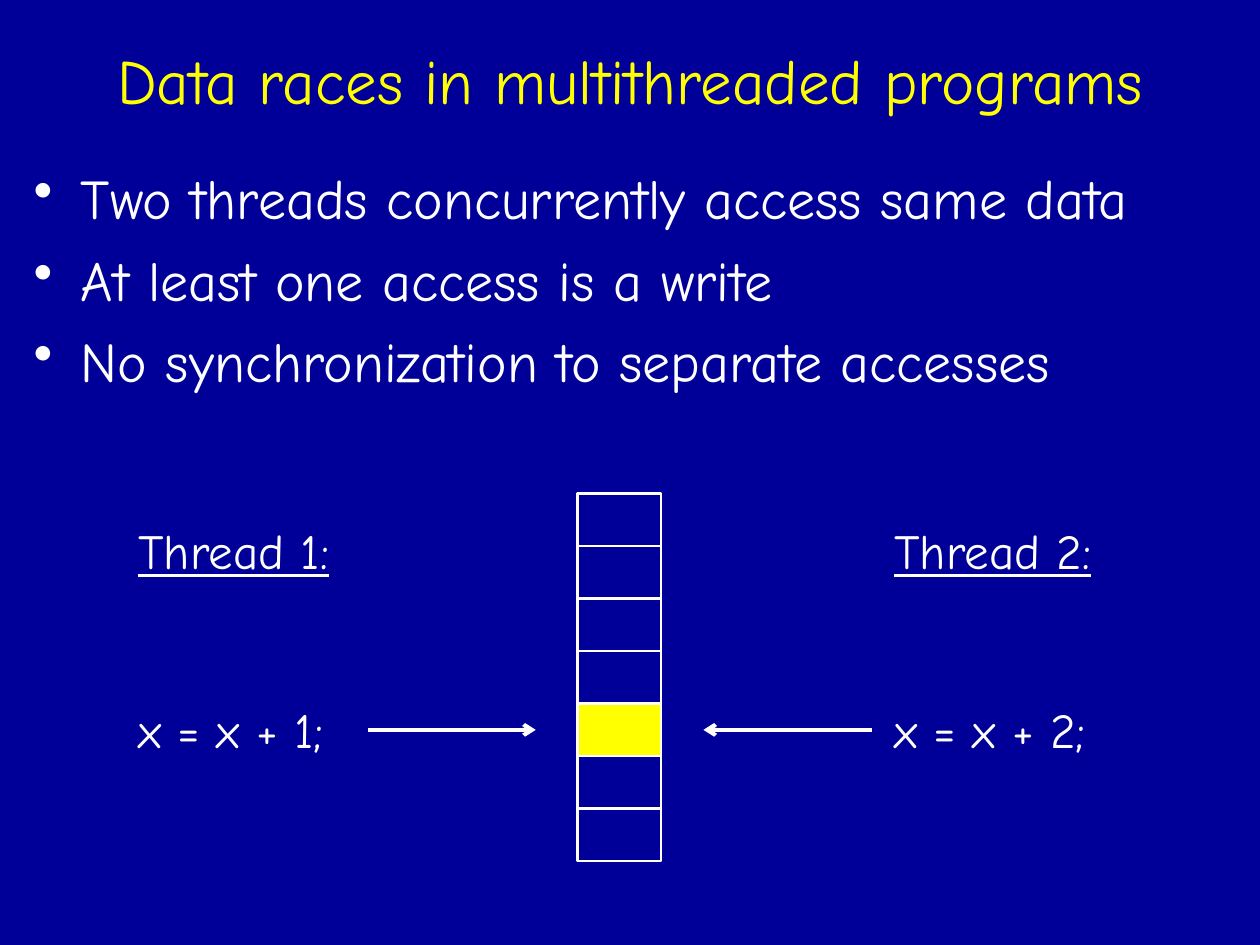
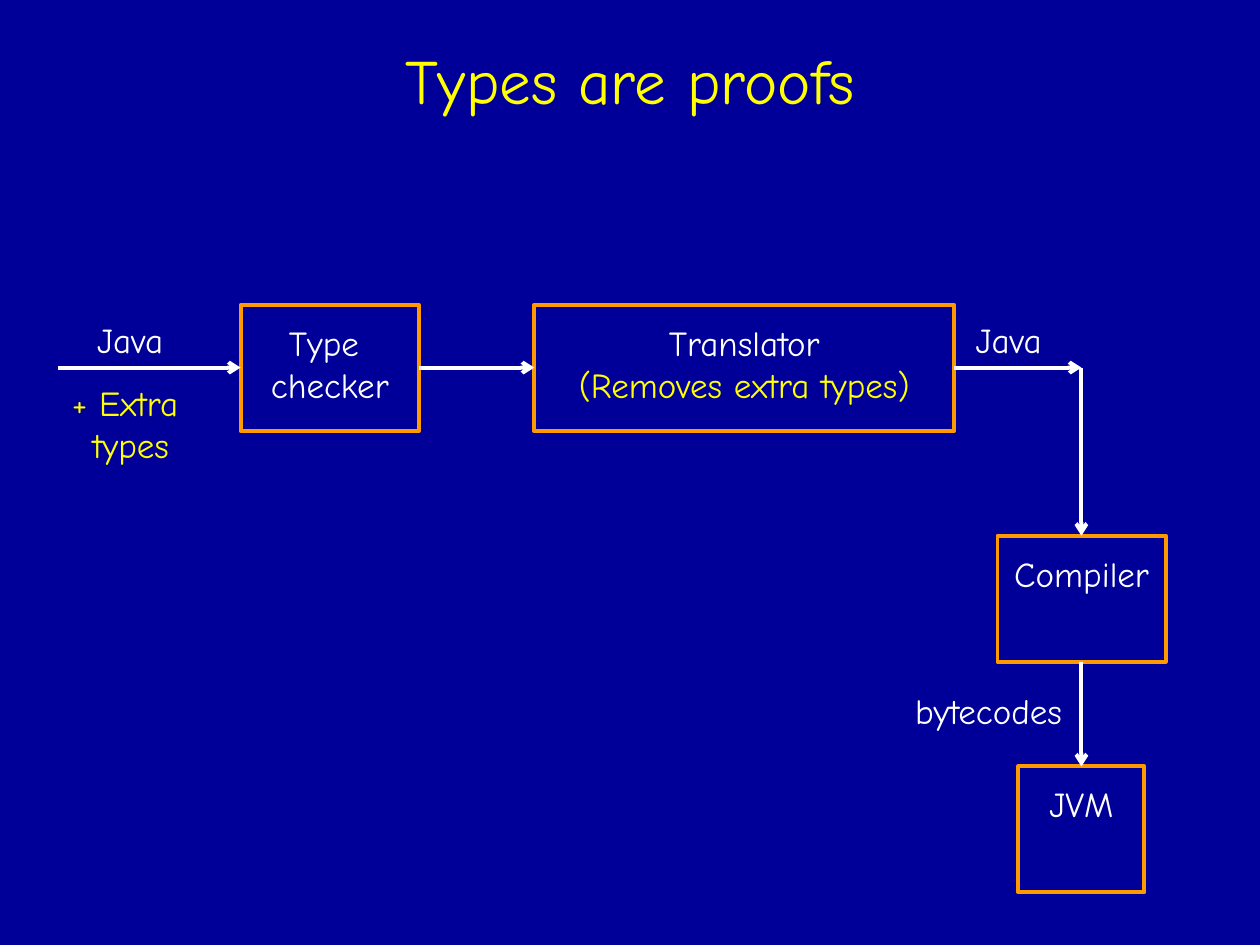
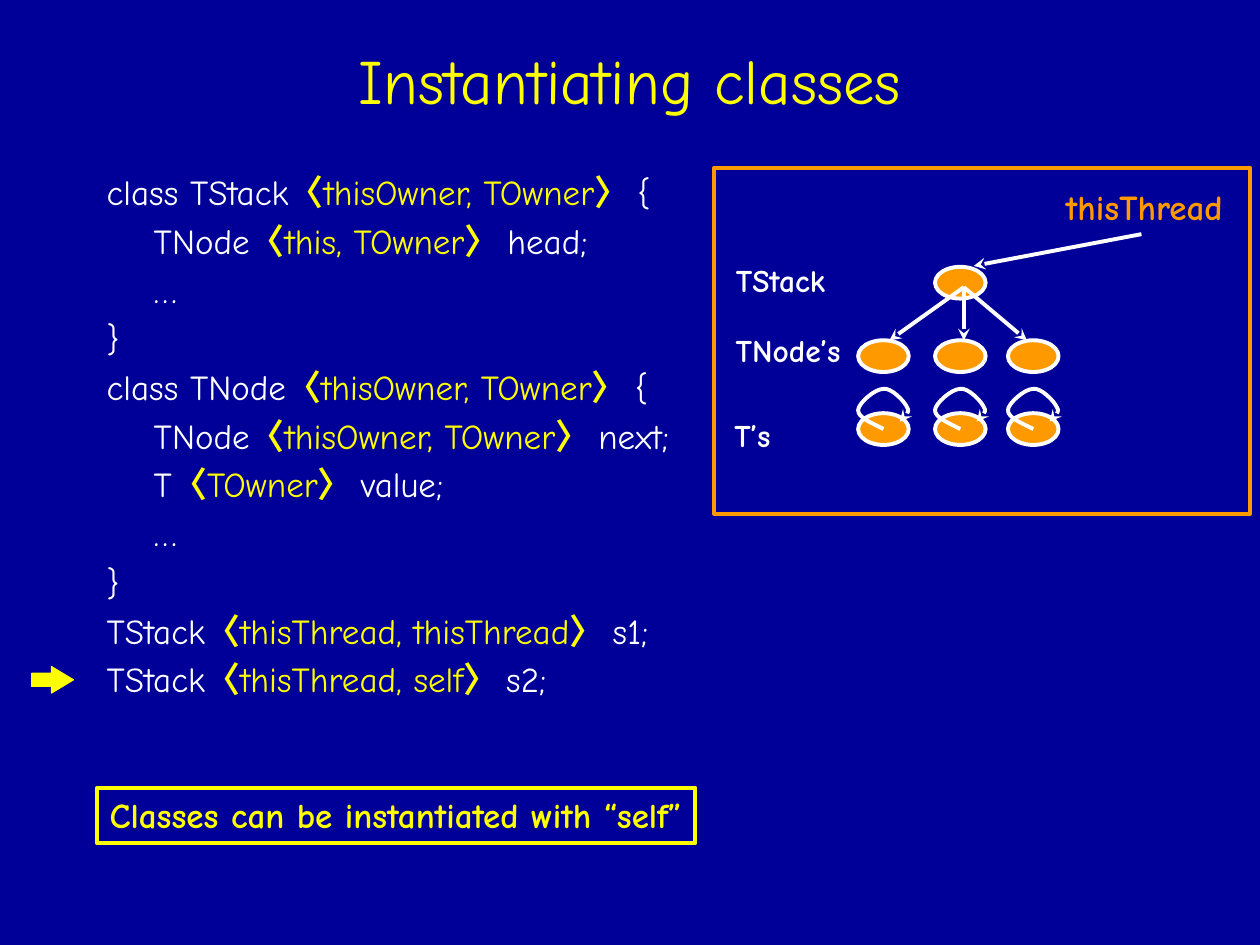
from lxml.etree import SubElement
from pptx import Presentation
from pptx.dml.color import RGBColor
from pptx.enum.shapes import MSO_CONNECTOR, MSO_SHAPE
from pptx.enum.text import MSO_ANCHOR, PP_ALIGN
from pptx.oxml.ns import qn
from pptx.util import Cm, Pt

# Shared look
NAVY, WHITE, YELLOW, ORANGE = "000099", "FFFFFF", "FFFF00", "FF9900"
FONT, BRACKET_FONT = "Comic Neue", "Arial"
SLIDE_W, SLIDE_H = 25.4, 19.05
THICK, THIN = 2.25, 1.5

# Slide 1: left, top, width, height in cm
RACE_RULES = [
    "Two threads concurrently access same data",
    "At least one access is a write",
    "No synchronization to separate accesses",
]
THREADS = [  # left, width, heading, statement, arrow start, arrow end
    (2.54, 5.08, "Thread 1:", "x = x + 1;", 7.41, 10.8),
    (17.78, 5.5, "Thread 2:", "x = x + 2;", 17.57, 14.18),
]
MEMORY = (11.64, 9.95, 1.69, 7.41)
CELL_COUNT, SHARED_CELL = 7, 4

# Slide 2
STAGE_H, FLOW_Y, FLOW_X = 2.54, 7.41, 21.8
STAGES = [  # left, top, width, lines of text with their colours
    (4.85, 6.15, 3.6, [("Type ", WHITE), ("checker", WHITE)]),
    (10.77, 6.15, 8.47, [("Translator", WHITE), ("(Removes extra types)", YELLOW)]),
    (20.11, 10.8, 3.39, [("Compiler", WHITE)]),
    (20.53, 15.45, 2.54, [("JVM", WHITE)]),
]
FLOW_ACROSS = [(1.17, 4.85), (8.45, 10.77), (19.24, FLOW_X)]
FLOW_DOWN = [(FLOW_Y, 10.8), (13.34, 15.45)]
FLOW_LABELS = [
    ((1.7, 6.3, 1.85, 1.96), ["Java"], WHITE),
    ((1.19, 7.57, 2.9, 2.79), ["+ Extra ", "types"], YELLOW),
    ((19.41, 6.3, 1.85, 1.96), ["Java"], WHITE),
    ((18.19, 13.77, 3.48, 1.96), ["bytecodes"], WHITE),
]

# Slide 3
CODE = [  # indent level, code, owner parameters, rest of the line
    (0, "class TStack", "thisOwner, TOwner", " {"),
    (1, "TNode", "this, TOwner", " head;"),
    (1, "…", "", ""),
    (0, "}", "", ""),
    (0, "class TNode", "thisOwner, TOwner", " {"),
    (1, "TNode", "thisOwner, TOwner", " next;"),
    (1, "T", "TOwner", " value;"),
    (1, "…", "", ""),
    (0, "}", "", ""),
    (0, "TStack", "thisThread, thisThread", " s1;"),
    (0, "TStack", "thisThread, self", " s2;"),
]
OBJECT_W, OBJECT_H = 1.02, 0.64
OBJECT_COLS = (17.3, 18.85, 20.32)
STACK_Y, NODE_Y, T_Y = 5.38, 6.86, 8.33
STACK_HUB, NODE_TIPS = (19.43, 5.79), (17.93, 19.43, 20.7)
OBJECT_LABELS = [
    ((21.23, 3.61, 3.68, 1.12), "thisThread", 20, ORANGE),
    ((14.58, 5.13, 2.31, 1.02), "TStack", 18, WHITE),
    ((14.58, 6.55, 2.62, 1.02), "TNode’s", 18, WHITE),
    ((14.55, 8.26, 1.24, 1.02), "T’s", 18, WHITE),
]
# Bezier points of the self-owner loop, relative to the middle of its object
SELF_LOOP = [
    (0, 0), (-0.25, -0.13), (-0.51, -0.23), (-0.51, -0.38), (-0.51, -0.51),
    (-0.18, -0.81), (0, -0.81), (0.15, -0.84), (0.43, -0.56), (0.48, -0.43),
    (0.56, -0.33), (0.36, -0.2), (0.33, -0.15),
]


def rgb(value):
    return RGBColor.from_string(value)


def cm(values):
    return [Cm(v) for v in values]


def add_run(p, text, size, color=WHITE, font=FONT, **formats):
    r = p.add_run()
    r.text = text
    r.font.color.rgb = rgb(color)
    for name, value in {"size": Pt(size), "name": font, **formats}.items():
        setattr(r.font, name, value)


def add_paragraph(tf, first, **formats):
    p = tf.paragraphs[0] if first else tf.add_paragraph()
    for name, value in formats.items():
        setattr(p, name, value)
    return p


def add_lines(tf, lines, size, align=PP_ALIGN.CENTER, **formats):
    """Write one paragraph for each (text, colour) pair."""
    for i, (text, color) in enumerate(lines):
        add_run(add_paragraph(tf, i == 0, alignment=align), text, size, color, **formats)


def add_text_frame(s, box, wrap=False):
    tf = s.shapes.add_textbox(*cm(box)).text_frame
    tf.word_wrap = wrap
    return tf


def add_box(s, kind, box, line, width=THICK, fill=None):
    sp = s.shapes.add_shape(kind, *cm(box))
    sp.shadow.inherit = False
    style_fill(sp, fill)
    style_line(sp, line, width)
    tf = sp.text_frame
    tf.word_wrap = False
    tf.vertical_anchor = MSO_ANCHOR.TOP
    return sp


def style_fill(sp, fill):
    if fill:
        sp.fill.solid()
        sp.fill.fore_color.rgb = rgb(fill)
    else:
        sp.fill.background()


def style_line(sp, color, width, arrow=None):
    sp.line.color.rgb = rgb(color)
    sp.line.width = Pt(width)
    if arrow:
        SubElement(sp.element.spPr.find(qn("a:ln")), qn("a:tailEnd"), type=arrow)


def add_line(s, start, end, width=THICK, arrow=None):
    c = s.shapes.add_connector(MSO_CONNECTOR.STRAIGHT, *cm(start + end))
    style_line(c, WHITE, width, arrow)
    SubElement(c.element.spPr, qn("a:effectLst"))


def bezier(points, steps=8):
    """Sample a chain of cubic curves that share their end points."""
    sampled = [points[0]]
    for i in range(0, len(points) - 1, 3):
        for t in (k / steps for k in range(1, steps + 1)):
            weights = ((1 - t) ** 3, 3 * t * (1 - t) ** 2, 3 * t * t * (1 - t), t ** 3)
            sampled.append(tuple(
                sum(w * pt[axis] for w, pt in zip(weights, points[i:i + 4]))
                for axis in (0, 1)))
    return sampled


def add_self_loop(s, x, y):
    start, *rest = [(Cm(x + dx), Cm(y + dy)) for dx, dy in bezier(SELF_LOOP)]
    builder = s.shapes.build_freeform(*start)
    builder.add_line_segments(rest, close=False)
    sp = builder.convert_to_shape()
    sp.shadow.inherit = False
    style_fill(sp, None)
    style_line(sp, WHITE, THICK, "stealth")


def add_slide(prs, title, title_w):
    s = prs.slides.add_slide(prs.slide_layouts[6])
    tf = add_text_frame(s, ((SLIDE_W - title_w) / 2, 0.43, title_w, 2.34), wrap=True)
    tf.vertical_anchor = MSO_ANCHOR.MIDDLE
    add_lines(tf, [(title, YELLOW)], 36)
    return s


def add_bullets(s, box, items):
    tf = add_text_frame(s, box, wrap=True)
    for i, item in enumerate(items):
        p = add_paragraph(tf, i == 0, space_before=Pt(8))
        add_run(p, item, 32)
        pPr = p._p.get_or_add_pPr()
        pPr.set("marL", str(Cm(0.95)))
        pPr.set("indent", str(-Cm(0.95)))
        SubElement(pPr, qn("a:buChar"), char="•")


def build_data_races(prs):
    s = add_slide(prs, "Data races in multithreaded programs", 23.7)
    add_bullets(s, (0.43, 3.18, 24.97, 15.44), RACE_RULES)

    left, top, width, height = MEMORY
    cell_h = height / CELL_COUNT
    cell_y = top + SHARED_CELL * cell_h
    add_box(s, MSO_SHAPE.RECTANGLE, MEMORY, WHITE, THIN)
    for i in range(1, CELL_COUNT + 1):
        if i not in (SHARED_CELL, SHARED_CELL + 1):
            y = top + i * cell_h
            add_line(s, (left, y), (left + width, y), THIN)
    add_box(s, MSO_SHAPE.RECTANGLE, (left, cell_y, width, cell_h), WHITE, THIN, YELLOW)

    for x, w, heading, statement, start, end in THREADS:
        tf = add_text_frame(s, (x, 10.36, w, 6.86), wrap=True)
        add_run(add_paragraph(tf, True), heading, 28, underline=True)
        add_run(add_paragraph(tf, False, space_before=Pt(69)), statement, 28)
        y = cell_y + cell_h / 2
        add_line(s, (start, y), (end, y), arrow="arrow")


def build_types_are_proofs(prs):
    s = add_slide(prs, "Types are proofs", 21.59)
    for x, y, w, lines in STAGES:
        tf = add_box(s, MSO_SHAPE.RECTANGLE, (x, y, w, STAGE_H), ORANGE).text_frame
        tf.margin_top = Cm(0.33)
        add_lines(tf, lines, 20)
    for x1, x2 in FLOW_ACROSS:
        add_line(s, (x1, FLOW_Y), (x2, FLOW_Y), arrow="arrow")
    for y1, y2 in FLOW_DOWN:
        add_line(s, (FLOW_X, y1), (FLOW_X, y2), arrow="arrow")
    for box, lines, color in FLOW_LABELS:
        add_lines(add_text_frame(s, box), [(text, color) for text in lines], 20)


def add_code(s, box):
    tf = add_text_frame(s, box, wrap=True)
    for i, (level, code, owners, rest) in enumerate(CODE):
        p = add_paragraph(tf, i == 0, line_spacing=1.16)
        p._p.get_or_add_pPr().set("marL", str(Cm(0.95 * level)))
        add_run(p, code, 20)
        if owners:
            add_run(p, "〈", 20, YELLOW, BRACKET_FONT, bold=True)
            add_run(p, owners, 20, YELLOW)
            add_run(p, "〉", 20, YELLOW, BRACKET_FONT, bold=True)
            add_run(p, rest, 20)


def add_ownership_diagram(s):
    objects = [(OBJECT_COLS[1], STACK_Y)]
    objects += [(x, y) for y in (NODE_Y, T_Y) for x in OBJECT_COLS]
    for x, y in objects:
        add_box(s, MSO_SHAPE.OVAL, (x, y, OBJECT_W, OBJECT_H), WHITE, fill=ORANGE)
    for x in NODE_TIPS:
        add_line(s, STACK_HUB, (x, NODE_Y), arrow="stealth")
    add_line(s, (23.01, 4.72), (19.63, 5.36), arrow="stealth")
    for box, text, size, color in OBJECT_LABELS:
        add_lines(add_text_frame(s, box), [(text, color)], size, bold=True)
    add_box(s, MSO_SHAPE.RECTANGLE, (14.4, 3.38, 10.8, 6.98), ORANGE)
    for x in OBJECT_COLS:
        add_self_loop(s, x + OBJECT_W / 2, T_Y + OBJECT_H / 2)


def build_instantiating_classes(prs):
    s = add_slide(prs, "Instantiating classes", 24.56)
    pointer = add_box(s, MSO_SHAPE.RIGHT_ARROW, (0.64, 13.44, 0.84, 0.53), YELLOW, 0.75, YELLOW)
    pointer.adjustments[1] = 0.83
    callout = add_box(s, MSO_SHAPE.RECTANGLE, (1.96, 15.88, 12.06, 1.12), YELLOW)
    add_lines(callout.text_frame, [("Classes can be instantiated with “self”", YELLOW)],
              20, PP_ALIGN.LEFT, bold=True)
    add_code(s, (1.9, 3.18, 23.06, 15.27))
    add_ownership_diagram(s)


def main():
    prs = Presentation()
    prs.slide_width, prs.slide_height = Cm(SLIDE_W), Cm(SLIDE_H)
    background = prs.slide_master.background.fill
    background.solid()
    background.fore_color.rgb = rgb(NAVY)
    build_data_races(prs)
    build_types_are_proofs(prs)
    build_instantiating_classes(prs)
    prs.save("out.pptx")


if __name__ == "__main__":
    main()
